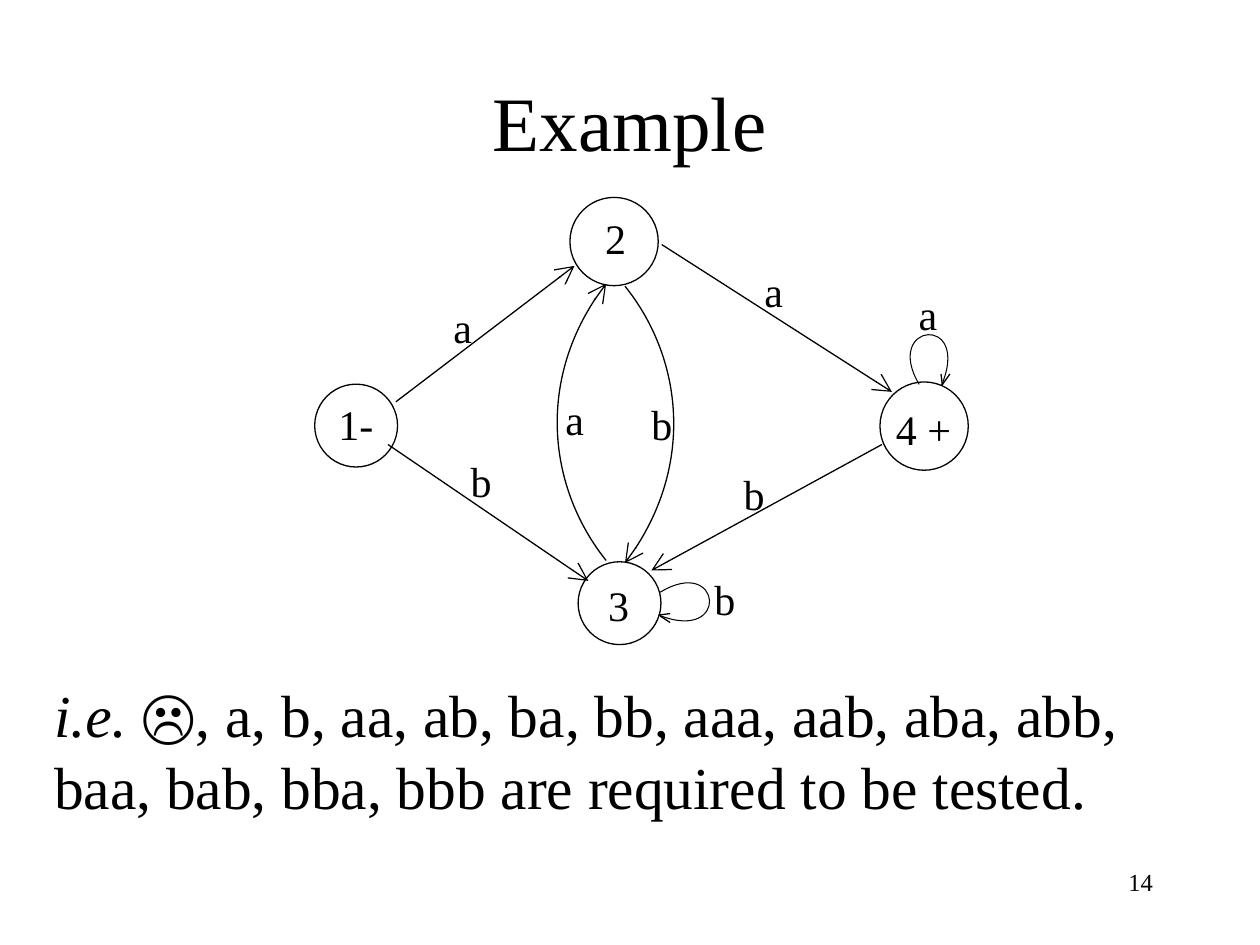
"""Build a slide with a four-state transition graph and its test strings."""
from typing import NamedTuple

from lxml import etree
from pptx import Presentation, util as u
from pptx.dml.color import RGBColor
from pptx.enum import shapes, text
from pptx.oxml import ns

FONT = "Times New Roman"
BLACK, WHITE = "000000", "FFFFFF"
Point = tuple[float, float]


class State(NamedTuple):
    center: Point
    diameter: float


class Label(NamedTuple):
    wording: str
    left: float
    top: float


class Edge(NamedTuple):
    start: Point
    end: Point


class Curve(NamedTuple):
    controls: tuple[Point, Point, Point, Point]
    width: float = 0.75
    arrow: bool = True


STATES = [
    State((7.18, 8.58), 1.67),
    State((12.38, 4.87), 1.78),
    State((12.49, 12.16), 1.67),
    State((18.63, 8.59), 1.78),
]
EDGES = [
    Edge((7.98, 8.1), (11.58, 5.36)),
    Edge((7.82, 8.96), (11.86, 11.71)),
    Edge((13.34, 4.93), (17.98, 7.9)),
    Edge((17.78, 8.96), (13.13, 11.5)),
]
CURVES = [
    Curve(((12.22, 11.3), (11.07, 9.86), (10.8, 7.54), (12.22, 5.72))),
    Curve(((12.6, 5.77), (13.74, 7.19), (14.02, 9.5), (12.6, 11.35))),
    Curve(((13.31, 11.94), (14.55, 11.18), (14.73, 12.98), (13.28, 12.4)), 0.6, False),
    Curve(((18.53, 7.75), (17.79, 6.5), (19.59, 6.32), (18.98, 7.77)), 0.6, False),
]
LOOP_HEAD_STROKES = [
    Edge((13.31, 12.42), (13.51, 12.55)),
    Edge((13.51, 12.37), (13.28, 12.4)),
    Edge((19, 7.75), (19.15, 7.54)),
    Edge((18.97, 7.54), (19, 7.77)),
]
LABELS = [
    Label("1-", 6.57, 7.9),
    Label("2", 11.95, 4.16),
    Label("3", 12.01, 11.56),
    Label("4 +", 17.81, 8),
    Label("a", 8.89, 5.95),
    Label("b", 9.24, 9.05),
    Label("a", 11.15, 7.8),
    Label("b", 12.88, 7.9),
    Label("a", 15.16, 5.23),
    Label("b", 14.74, 9.33),
    Label("a", 18.27, 5.69),
    Label("b", 14.15, 11.43),
]


def color(value: str) -> RGBColor:
    return RGBColor.from_string(value)


def style_text(para, size: float) -> None:
    for span in para.runs:
        span.font.name = FONT
        span.font.size = u.Pt(size)
        span.font.color.rgb = color(BLACK)


def style_line(shape, width: float = 0.75, arrow: bool = False) -> None:
    shape.line.color.rgb = color(BLACK)
    shape.line.width = u.Pt(width)
    if arrow:
        outline = shape.line._get_or_add_ln()
        etree.SubElement(outline, ns.qn("a:tailEnd"), type="arrow", w="lg", len="lg")


def add_text(page, wording: str, left: float, top: float, width: float, height: float, size: float):
    box = page.shapes.add_textbox(u.Cm(left), u.Cm(top), u.Cm(width), u.Cm(height))
    box.text_frame.word_wrap = True
    box.text_frame.text = wording
    para = box.text_frame.paragraphs[0]
    style_text(para, size)
    return para


def add_state(page, state: State) -> None:
    left, top = (u.Cm(middle - state.diameter / 2) for middle in state.center)
    side = u.Cm(state.diameter)
    circle = page.shapes.add_shape(shapes.MSO_SHAPE.OVAL, left, top, side, side)
    circle.shadow.inherit = False
    circle.fill.solid()
    circle.fill.fore_color.rgb = color(WHITE)
    style_line(circle)


def add_edge(page, edge: Edge) -> None:
    ends = [u.Cm(value) for value in (*edge.start, *edge.end)]
    line = page.shapes.add_connector(shapes.MSO_CONNECTOR.STRAIGHT, *ends)
    etree.SubElement(line._element.spPr, ns.qn("a:effectLst"))
    style_line(line, arrow=True)


def add_outline(page, points: tuple[Point, ...], width: float = 0.75, arrow: bool = False):
    first, *rest = [(u.Cm(x), u.Cm(y)) for x, y in points]
    builder = page.shapes.build_freeform(*first)
    builder.add_line_segments(rest, close=False)
    outline = builder.convert_to_shape()
    outline.shadow.inherit = False
    outline.fill.background()
    style_line(outline, width, arrow)
    return outline


def add_curve(page, curve: Curve) -> None:
    """Turn the outline through the control points into one cubic segment."""
    outline = add_outline(page, curve.controls, curve.width, curve.arrow)
    segments = list(outline._element.iter(ns.qn("a:lnTo")))
    bezier = etree.SubElement(segments[0].getparent(), ns.qn("a:cubicBezTo"))
    for segment in segments:
        bezier.append(segment[0])
        segment.getparent().remove(segment)


def add_title(page) -> None:
    title = page.shapes.title
    title.left, title.top, title.width, title.height = map(u.Cm, (1.9, 0.84, 21.59, 3.18))
    title.text_frame.text = "Example"
    title.text_frame.vertical_anchor = text.MSO_ANCHOR.MIDDLE
    para = title.text_frame.paragraphs[0]
    para.alignment = text.PP_ALIGN.CENTER
    style_text(para, 44)


def main() -> None:
    deck = Presentation()
    deck.slide_width, deck.slide_height = u.Cm(25.4), u.Cm(19.05)
    page = deck.slides.add_slide(deck.slide_layouts[5])
    add_title(page)
    for state in STATES:
        add_state(page, state)
    for curve in CURVES:
        add_curve(page, curve)
    for stroke in LOOP_HEAD_STROKES:
        add_outline(page, stroke)
    for edge in EDGES:
        add_edge(page, edge)
    for label in LABELS:
        add_text(page, *label, 1.98, 1.27, 24)

    summary = add_text(page, "i.e. ", 0.84, 13.55, 23.93, 3.15, 34)
    summary.runs[0].font.italic = True
    summary.add_run().text = (
        "☹, a, b, aa, ab, ba, bb, aaa, aab, aba, abb, "
        "baa, bab, bba, bbb are required to be tested."
    )
    style_text(summary, 34)
    number = add_text(page, "14", 18.21, 17.35, 5.28, 1.27, 14)
    number.alignment = text.PP_ALIGN.RIGHT
    deck.save("out.pptx")


if __name__ == "__main__":
    main()
